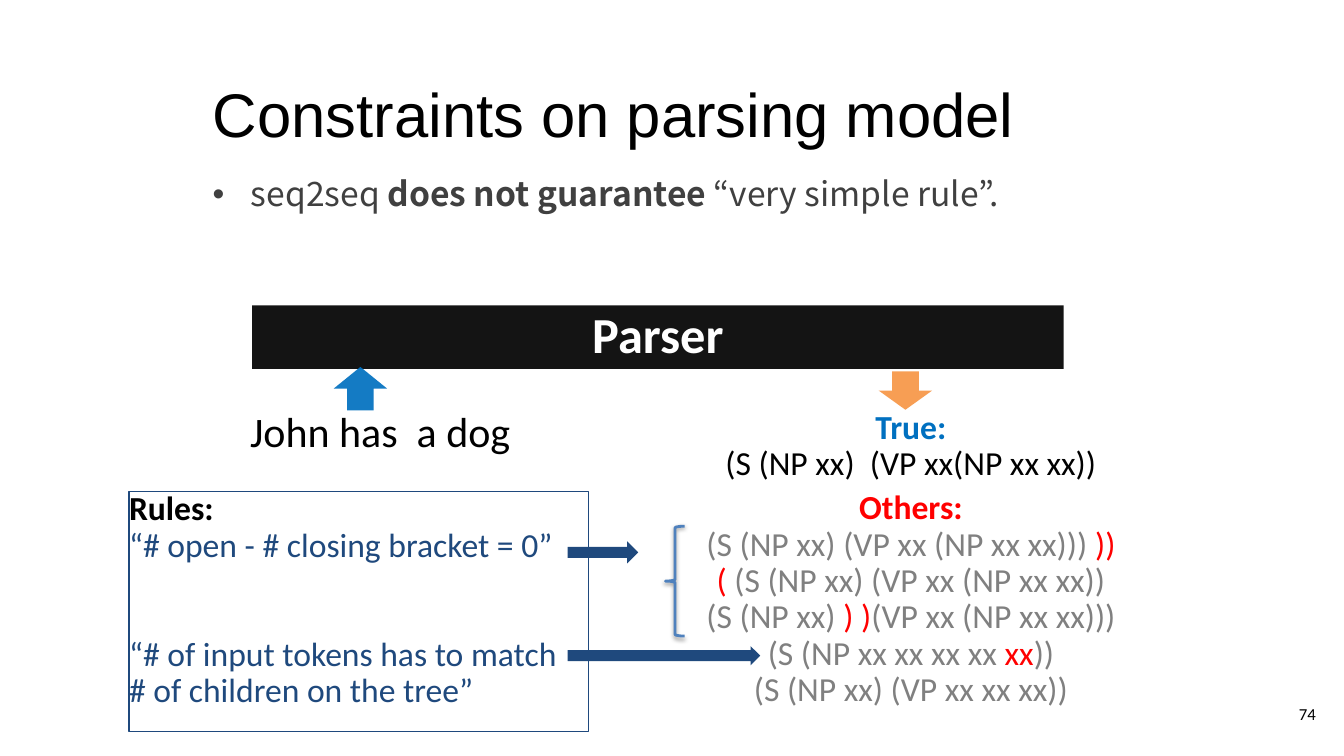
from collections import namedtuple
from dataclasses import dataclass

from lxml.etree import SubElement
from pptx import Presentation
from pptx.dml.color import RGBColor
from pptx.enum.shapes import MSO_SHAPE as Shape
from pptx.enum.text import MSO_ANCHOR as Anchor, MSO_AUTO_SIZE as AutoSize, PP_ALIGN as Align
from pptx.oxml.ns import qn
from pptx.util import Inches, Pt

Box = namedtuple("Box", "left top width height")


@dataclass(frozen=True)
class Theme:
    black: str = "000000"
    white: str = "FFFFFF"
    body: str = "404040"
    grey: str = "808080"
    red: str = "FF0000"
    blue: str = "0070C0"
    navy: str = "1F497D"
    brace: str = "4F81BD"
    orange: str = "F79646"
    title_font: str = "Arial"
    body_font: str = "Noto Sans CJK KR"
    font: str = "Calibri"
    title_size: int = 44
    parser_size: int = 36
    input_size: int = 30
    text_size: int = 24
    number_size: int = 12


THEME = Theme()


def inches(box):
    return [Inches(value) for value in box]


def inside(box, left, top, width, height):
    return Box(box.left + left, box.top + top, width, height)


def write(shape, lines, font=THEME.font, size=THEME.text_size, align=Align.LEFT,
          anchor=Anchor.TOP, inset=0.0, spacing=0.9, wrap=True, gaps=None):
    """Each line is a list of (text, colour, bold) spans; gaps maps line to points before."""
    frame = shape.text_frame
    frame.auto_size = AutoSize.NONE
    frame.word_wrap = wrap
    frame.vertical_anchor = anchor
    frame.margin_left = frame.margin_right = Inches(inset)
    frame.margin_top = frame.margin_bottom = Inches(inset)
    for index, line in enumerate(lines):
        para = frame.add_paragraph() if index else frame.paragraphs[0]
        para.alignment = align
        para.line_spacing = spacing
        if gaps and index in gaps:
            para.space_before = Pt(gaps[index])
        for text, colour, bold in line:
            for part, piece in enumerate(text.split("\n")):
                if part:
                    para.add_line_break()
                span = para.add_run()
                span.text = piece
                span.font.name = font
                span.font.size = Pt(size)
                span.font.bold = bold
                span.font.color.rgb = RGBColor.from_string(colour)
    return frame


def add_text(page, box, lines, **style):
    return write(page.shapes.add_textbox(*inches(box)), lines, **style)


def add_shape(page, kind, box, fill=None, line=None, width=0.75, alpha=None, turn=0):
    shape = page.shapes.add_shape(kind, *inches(box))
    shape.shadow.inherit = False
    shape.rotation = turn
    if fill:
        shape.fill.solid()
        shape.fill.fore_color.rgb = RGBColor.from_string(fill)
        if alpha:
            colour = shape.fill._xPr.find(".//" + qn("a:srgbClr"))
            SubElement(colour, qn("a:alpha"), val=str(alpha * 1000))
    else:
        shape.fill.background()
    if line:
        shape.line.color.rgb = RGBColor.from_string(line)
        shape.line.width = Pt(width)
    else:
        shape.line.fill.background()
    return shape


def add_heading(page, box):
    title = page.shapes.title
    title.left, title.top, title.width, title.height = inches(box)
    write(title, [[("Constraints on parsing model", THEME.black, False)]],
          font=THEME.title_font, size=THEME.title_size, inset=0.1, spacing=1.0)


def add_claim(page, box):
    frame = add_text(page, box, [[("seq2seq ", THEME.body, False),
                                  ("does not guarantee ", THEME.body, True),
                                  ("“very simple rule”.", THEME.body, False)]],
                     font=THEME.body_font, inset=0.1, spacing=1.0)
    # Hanging bullet
    props = frame.paragraphs[0]._p.get_or_add_pPr()
    props.set("marL", str(Inches(0.38)))
    props.set("indent", str(-Inches(0.38)))
    SubElement(props, qn("a:buFont"), typeface="Arial")
    SubElement(props, qn("a:buChar"), char="•")


def add_parser(page, box):
    bar = add_shape(page, Shape.RECTANGLE, box, fill=THEME.black, alpha=92)
    write(bar, [[("Parser", THEME.white, True)]], size=THEME.parser_size,
          align=Align.CENTER, anchor=Anchor.MIDDLE)
    # Input and output arrows
    add_shape(page, Shape.RIGHT_ARROW, inside(box, 0.86, 0.56, 0.43, 0.53),
              fill=THEME.blue, alpha=92, turn=270)
    add_shape(page, Shape.RIGHT_ARROW, inside(box, 6.29, 0.58, 0.38, 0.53),
              fill=THEME.orange, alpha=92, turn=90)
    add_text(page, inside(box, -0.02, 1.05, 2.69, 0.66),
             [[("John has  a dog", THEME.black, False)]], size=THEME.input_size, wrap=False)


def add_outputs(page, box):
    # Correct tree
    add_text(page, inside(box, 0, 0, box.width, 0.82),
             [[("True:", THEME.blue, True)],
              [("(S (NP xx)  (VP xx(NP xx xx))", THEME.black, False)]],
             align=Align.CENTER, anchor=Anchor.MIDDLE)

    # Broken trees, with the faults in red
    def good(text):
        return text, THEME.grey, False

    def fault(text):
        return text, THEME.red, False

    add_text(page, inside(box, 0, 0.85, box.width, 2.07),
             [[("Others:", THEME.red, True)],
              [good("(S (NP xx) (VP xx (NP xx xx))) "), fault("))")],
              [fault("( "), good("(S (NP xx) (VP xx (NP xx xx))")],
              [good("(S (NP xx)"), fault(" ) )"), good("(VP xx (NP xx xx)))")],
              [good("(S (NP xx xx xx xx "), fault("xx"), good("))")],
              [good("(S (NP xx) (VP xx xx xx))")]],
             align=Align.CENTER)

    # Brace around the bracket faults
    brace = add_shape(page, Shape.LEFT_BRACE, inside(box, 0.19, 1.2, 0.19, 1.09),
                      line=THEME.brace, width=2)
    effects = brace._element.spPr.find(qn("a:effectLst"))
    shadow = SubElement(effects, qn("a:outerShdw"), blurRad=str(Pt(3.1)), dist=str(Pt(1.6)),
                        dir=str(90 * 60000), rotWithShape="0")
    colour = SubElement(shadow, qn("a:srgbClr"), val=THEME.black)
    SubElement(colour, qn("a:alpha"), val="38000")


def add_rules(page, box):
    frame = add_shape(page, Shape.RECTANGLE, box, line=THEME.navy)
    write(frame, [[("Rules:", THEME.black, True)],
                  [("“# open - # closing bracket = 0”", THEME.navy, False)],
                  [("“# of input tokens has to match\n# of children on the tree”",
                    THEME.navy, False)]], gaps={2: 52})
    # Arrows to the trees that break each rule
    add_shape(page, Shape.RIGHT_ARROW, inside(box, 4.35, 0.49, 0.7, 0.22), fill=THEME.navy)
    arrow = add_shape(page, Shape.RIGHT_ARROW, inside(box, 4.35, 1.53, 1.91, 0.19),
                      fill=THEME.navy)
    arrow.adjustments[0] = 0.58


def add_number(page, box):
    add_text(page, box, [[("74", THEME.black, False)]], size=THEME.number_size,
             align=Align.RIGHT, anchor=Anchor.MIDDLE, inset=0.1, spacing=1.0)


def main():
    deck = Presentation()
    deck.slide_width, deck.slide_height = Inches(13.33), Inches(7.5)
    page = deck.slides.add_slide(deck.slide_layouts[5])
    add_heading(page, Box(2.01, 0.65, 9.66, 0.84))
    add_claim(page, Box(2.01, 1.62, 9.32, 0.8))
    add_parser(page, Box(2.5, 3.03, 8.05, 0.63))
    add_outputs(page, Box(6.41, 4.02, 5.25, 2.92))
    add_rules(page, Box(1.28, 4.88, 4.56, 2.38))
    add_number(page, Box(12.35, 6.8, 0.8, 0.57))
    deck.save("out.pptx")


if __name__ == "__main__":
    main()
